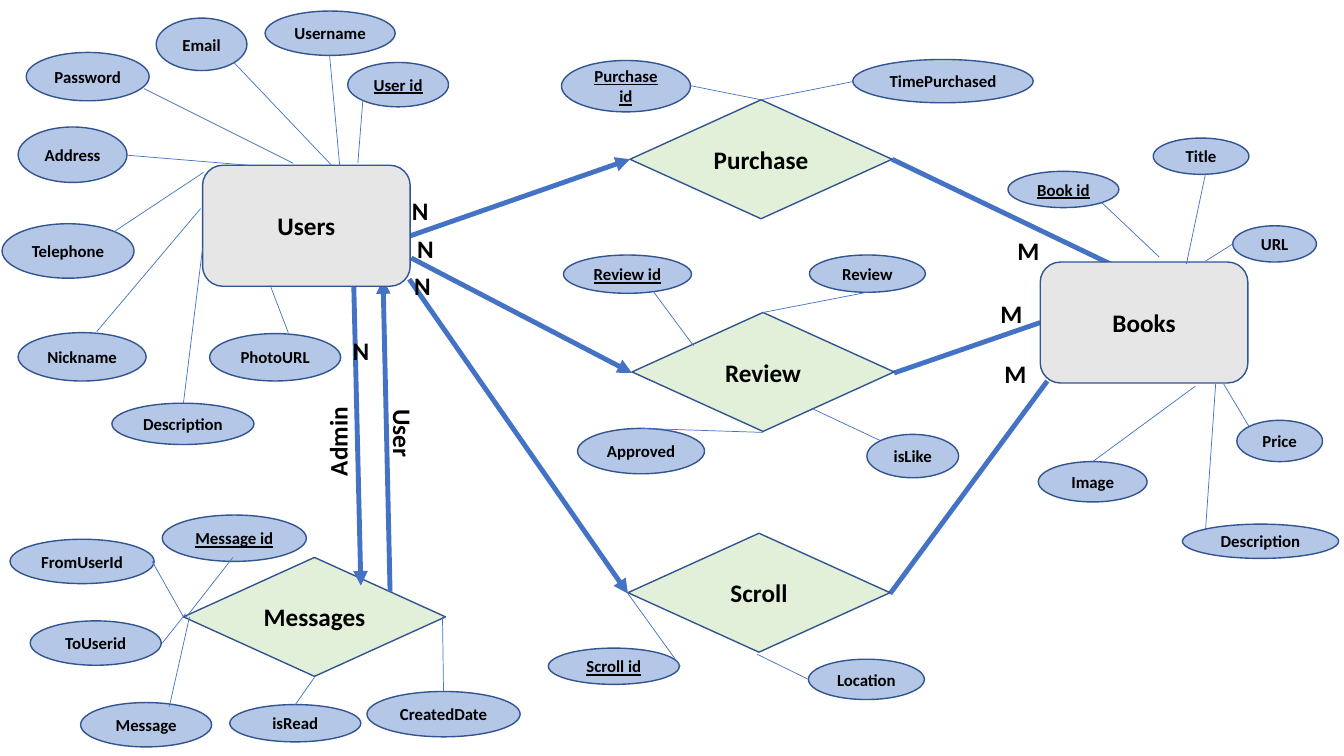
from lxml import etree
from pptx import Presentation
from pptx import util as u
from pptx.dml.color import RGBColor
from pptx.enum import shapes, text
from pptx.oxml import ns

# Lengths are columns and rows of a grid with ten cells to the inch.
CELL = u.Inches(0.1)
COLUMNS, ROWS = 133.33, 75
COLORS = {"relation": "E2F0D9", "entity": "E7E6E6", "attribute": "B4C7E7",
          "outline": "325491", "link": "4472C4", "ink": "000000"}
FORMS = {"relation": shapes.MSO_SHAPE.FLOWCHART_DECISION,
         "entity": shapes.MSO_SHAPE.ROUNDED_RECTANGLE,
         "attribute": shapes.MSO_SHAPE.OVAL}
SIZES = {"relation": (26, 11.8), "entity": (20.6, 12)}
FRAME = {"word_wrap": True, "vertical_anchor": text.MSO_ANCHOR.MIDDLE,
         "margin_left": u.Inches(0.08), "margin_right": u.Inches(0.08)}
LABEL_FRAME = {"word_wrap": True, "auto_size": text.MSO_AUTO_SIZE.SHAPE_TO_FIT_TEXT}
FONT = {"name": "Calibri", "bold": True}

# Attribute: label, box, link start, link end; all measured from the hub's corner.
# The first attribute of each hub is its key and is underlined.
MESSAGES = [
    ("Message id", (-2.1, -4.2, 14.3, 4.6), (4.9, 0), (0.3, 5.9)),
    ("FromUserId", (-17.2, -1.8, 14.3, 4.4), (-3.1, 0.4), (0, 5.9)),
    ("ToUserid", (-15.2, 6.3, 13, 4.4), (-2.1, 8.5), (0.2, 5.6)),
    ("Message", (-10.2, 14.4, 13, 4.4), (-1.4, 14.8), (0.6, 5.9)),
    ("isRead", (4.6, 14.6, 13, 3.7), (11.1, 14.6), (13, 11.9)),
    ("CreatedDate", (18.2, 13.3, 15.2, 4.5), (25.8, 13.3), (25.7, 5.9)),
]
PURCHASE = [
    ("Purchase id", (-6.8, -3.9, 12.8, 5.1), (6, -1.4), (13, 0)),
    ("TimePurchased", (22.1, -4, 17.9, 4.3), (22.1, -1.8), (13, 0)),
]
REVIEW = [
    ("Review id", (-6.8, -5.7, 12.7, 3.8), (2.1, -2.1), (6.1, 3.3)),
    ("Review", (17.6, -5.7, 11.5, 3.7), (23.3, -2), (13, 0)),
    ("Approved", (-5.4, 11.5, 12.6, 4.5), (0.9, 11.5), (13, 11.9)),
    ("isLike", (23.3, 12.1, 9.1, 4.3), (24.6, 12.7), (17.8, 9.5)),
]
SCROLL = [
    ("Scroll id", (-7.9, 11.4, 13, 3.6), (5.2, 13.2), (0, 6)),
    ("Location", (17.9, 12.5, 11.5, 4), (17.9, 14.5), (12.8, 12)),
]
BOOKS = [
    ("Book id", (-3.2, -9, 11, 3.6), (6.1, -5.9), (11.8, -0.5)),
    ("Title", (11.2, -12.3, 9.5, 3.6), (16.4, -8.8), (14.5, 0.2)),
    ("Price", (19.5, 15.7, 8.5, 4.1), (20.7, 16.3), (18.2, 12.1)),
    ("Description", (14.1, 26, 15.5, 3.4), (16.4, 26.5), (17.4, 12.1)),
    ("Image", (-0.2, 19.8, 10.8, 4), (5.2, 19.8), (15.4, 12.3)),
    ("URL", (19.1, -3.6, 8.3, 3.6), (19.1, -1.8), (16.4, -0.1)),
]
USERS = [
    ("User id", (14.4, -10.2, 10, 4.4), (15.9, -6.5), (15.4, -0.2)),
    ("Username", (6.2, -15.3, 12.9, 4.4), (12.6, -10.9), (13.6, 0)),
    ("Email", (-4.6, -14.6, 9, 5.2), (3.1, -10.2), (12.8, 0)),
    ("Password", (-17.5, -11.2, 12.2, 4.8), (-5.8, -7.6), (9, -0.2)),
    ("Address", (-18.3, -3.8, 10.8, 5.5), (-7.5, -1), (4.6, 0)),
    ("Telephone", (-19.9, 5.8, 13.1, 5.4), (-8.8, 6.6), (0.1, 0.7)),
    ("Nickname", (-18.3, 16.6, 12.7, 4.8), (-10.5, 16.5), (-0.2, 4.3)),
    ("Description", (-9, 23.6, 14.1, 4.1), (-1.9, 23.6), (0, 8.2)),
    ("PhotoURL", (0.7, 16.7, 13, 4.7), (8.5, 16.6), (6.7, 11.9)),
]
HUBS = [
    ("Messages", "relation", (18.2, 55.3), MESSAGES),
    ("Purchase", "relation", (62.5, 9.9), PURCHASE),
    ("Review", "relation", (62.7, 31), REVIEW),
    ("Scroll", "relation", (62.3, 52.9), SCROLL),
    ("Books", "entity", (103.2, 26), BOOKS),
    ("Users", "entity", (20.1, 16.4), USERS),
]
BOOK_LINES = [((88.5, 15.8), (110.6, 26.4)), ((88.7, 37), (103.2, 32)),
              ((88.3, 58.9), (103.9, 37.8))]
USER_ARROWS = [((40.7, 23.4), (62.5, 15.8)), ((40.8, 25.6), (62.7, 37)),
               ((40.6, 27.7), (62.3, 58.9)), ((35.1, 28.4), (35.8, 58.1)),
               ((38.7, 58.7), (38, 27.7))]
CARDINALITIES = [("N", 41.1, 18.9), ("N", 41.6, 22.7), ("N", 41.3, 26.3),
                 ("N", 35.2, 32.8), ("M", 101.7, 22.9), ("M", 100, 29.1),
                 ("M", 100.4, 35.1)]
ROLES = [("User", 31.2, 41, 90), ("Admin", 24.7, 41.8, 270)]


def cells(*lengths):
    return [round(length * CELL) for length in lengths]


def shift(corner, point):
    return corner[0] + point[0], corner[1] + point[1]


def color(name):
    return RGBColor.from_string(COLORS[name])


def write(box, label, size, frame, underline=False):
    for name, value in frame.items():
        setattr(box.text_frame, name, value)
    para = box.text_frame.paragraphs[0]
    para.alignment = text.PP_ALIGN.CENTER
    para._p.get_or_add_pPr().set("rtl", "1")
    span = para.add_run()
    span.text = label
    for name, value in {**FONT, "size": u.Pt(size), "underline": underline}.items():
        setattr(span.font, name, value)
    span.font.color.rgb = color("ink")


def add_node(page, kind, label, area, size, underline=False):
    node = page.shapes.add_shape(FORMS[kind], *cells(*area))
    node.shadow.inherit = False
    node.fill.solid()
    node.fill.fore_color.rgb = color(kind)
    node.line.color.rgb = color("outline")
    node.line.width = u.Pt(1)
    write(node, label, size, FRAME, underline)


def add_link(page, start, end, width=0.5, arrow=False):
    link = page.shapes.add_connector(shapes.MSO_CONNECTOR.STRAIGHT, *cells(*start, *end))
    link.line.color.rgb = color("link")
    link.line.width = u.Pt(width)
    if arrow:
        etree.SubElement(link.line._get_or_add_ln(), ns.qn("a:tailEnd"), type="triangle")
    etree.SubElement(link._element.spPr, ns.qn("a:effectLst"))


def add_hub(page, label, kind, corner, attributes):
    """Place an entity or relation with its attributes around it."""
    add_node(page, kind, label, (*corner, *SIZES[kind]), 18)
    for index, (name, area, start, end) in enumerate(attributes):
        spot = (*shift(corner, area[:2]), *area[2:])
        add_node(page, "attribute", name, spot, 12, underline=index == 0)
        add_link(page, shift(corner, start), shift(corner, end))


def add_label(page, label, left, top, width=2.4, rotation=0):
    box = page.shapes.add_textbox(*cells(left, top, width, 4))
    box.rotation = rotation
    write(box, label, 18, LABEL_FRAME)


def add_diagram(page):
    for start, end in BOOK_LINES:
        add_link(page, start, end, 3.5)
    *others, users = HUBS
    for hub in others:
        add_hub(page, *hub)
    for start, end in USER_ARROWS:
        add_link(page, start, end, 3.5, arrow=True)
    add_hub(page, *users)
    for label, left, top in CARDINALITIES:
        add_label(page, label, left, top)
    for label, left, top, rotation in ROLES:
        add_label(page, label, left, top, 17.6, rotation)


def main():
    deck = Presentation()
    deck.slide_width, deck.slide_height = cells(COLUMNS, ROWS)
    add_diagram(deck.slides.add_slide(deck.slide_layouts[6]))
    deck.save("out.pptx")


if __name__ == "__main__":
    main()
